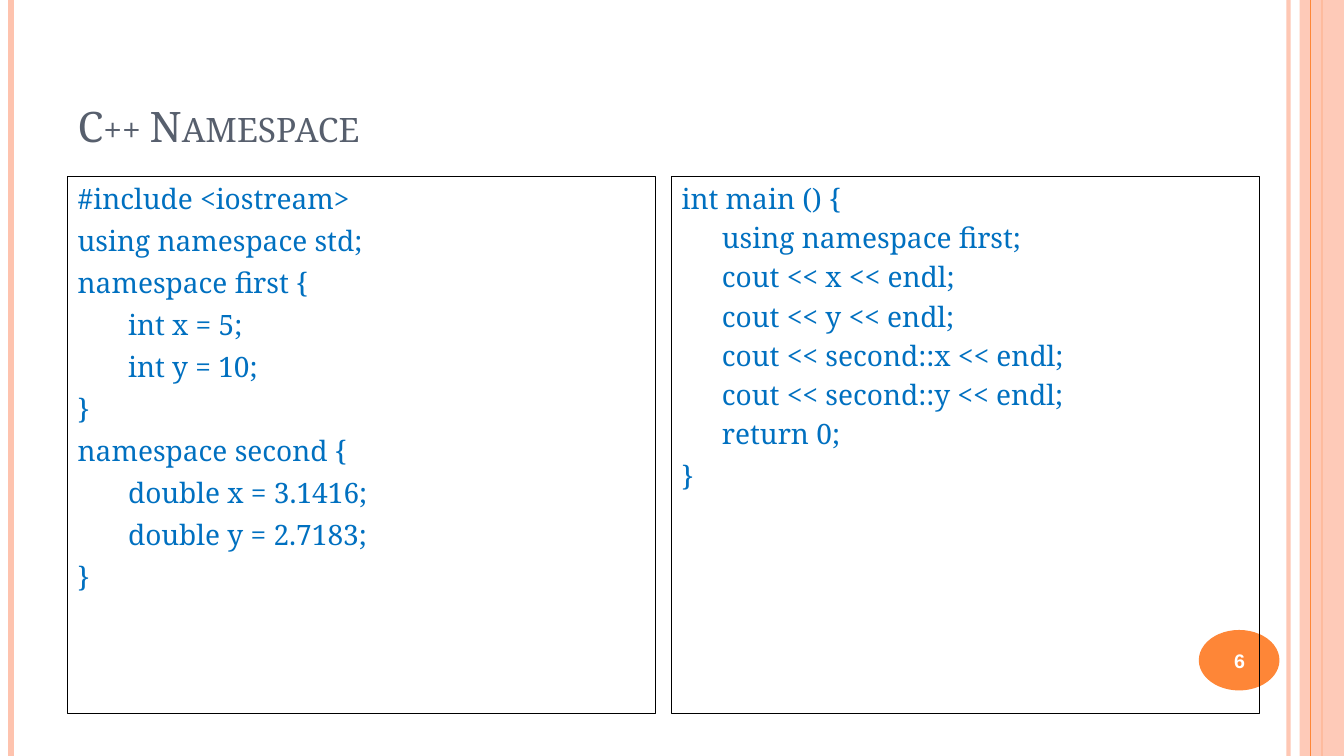
import pptx
import pptx.util
import pptx.dml.color
import pptx.enum.shapes
import pptx.enum.text
import pptx.oxml.ns
import lxml.etree

# Content
HEADING = "C++ Namespace"
PAGE_NUMBER = "6"
DECLARATIONS = [
    "#include <iostream>",
    "using namespace std;",
    "namespace first {",
    "\tint x = 5;",
    "\tint y = 10;",
    "}",
    "namespace second {",
    "\tdouble x = 3.1416;",
    "\tdouble y = 2.7183;",
    "}",
]
MAIN_BODY = [
    "using namespace first;",
    "cout << x << endl;",
    "cout << y << endl;",
    "cout << second::x << endl;",
    "cout << second::y << endl;",
    "return 0;",
]
# Each pane lists (indent level, line of code)
PANES = [
    [(0, line) for line in DECLARATIONS],
    [(0, "int main () {"), *[(1, line) for line in MAIN_BODY], (0, "}")],
]

# Layout, in inches
WIDTH, HEIGHT = 13.33, 7.5
MARGIN, PANE_TOP = 0.67, 1.75
PANE_WIDTH, PANE_HEIGHT, PANE_STEP = 5.83, 5.33, 5.99
INDENT, TAB_STOP = 0.4, 1.0
SPACE_BEFORE = {0: 6, 1: 4}

# Look
SERIF, SANS = "Noto Serif", "Arial"
PEACH, ORANGE, SLATE, BLUE = "FEC3AE", "FE8637", "575F6D", "0070C0"
# x, colour, weight in points, opacity in percent
STRIPES = [
    (12.78, PEACH, 3, 93),
    (0.11, PEACH, 4.5, 100),
    (13.11, ORANGE, 1.5, 100),
    (13.0, ORANGE, 0.75, 100),
]
BAND_LEFT, BAND_OPACITY = 12.89, 87

inch, pt = pptx.util.Inches, pptx.util.Pt
qn = pptx.oxml.ns.qn
ANCHOR = pptx.enum.text.MSO_ANCHOR


def rgb(value):
    return pptx.dml.color.RGBColor.from_string(value)


def set_opacity(element, percent):
    if percent < 100:
        for colour in element.iter(qn("a:srgbClr")):
            lxml.etree.SubElement(colour, qn("a:alpha"), val=str(percent * 1000))


def place(part, left, top, width, height):
    part.left, part.top = inch(left), inch(top)
    part.width, part.height = inch(width), inch(height)


def style(paragraph, face, size, colour, bold=False):
    font = paragraph.font
    font.name, font.size, font.bold = face, pt(size), bold
    font.color.rgb = rgb(colour)


def fill_shape(kind, box, colour):
    part = slide.shapes.add_shape(kind, *map(inch, box))
    part.shadow.inherit = False
    part.fill.solid()
    part.fill.fore_color.rgb = rgb(colour)
    part.line.fill.background()
    return part


def write_code(pane, lines):
    frame = pane.text_frame
    frame.word_wrap = True
    frame.auto_size = pptx.enum.text.MSO_AUTO_SIZE.NONE
    frame.vertical_anchor = ANCHOR.TOP
    for index, (level, line) in enumerate(lines):
        paragraph = frame.add_paragraph() if index else frame.paragraphs[0]
        paragraph.text, paragraph.level = line, level
        paragraph.line_spacing = 1.0
        paragraph.space_before = pt(SPACE_BEFORE[level])
        style(paragraph, SERIF, 20, BLUE)
        # No bullet, a left indent by level and one tab stop
        properties = paragraph._p.get_or_add_pPr()
        properties.set("marL", str(inch(INDENT * level)))
        properties.set("indent", "0")
        no_bullet = lxml.etree.Element(qn("a:buNone"))
        tabs = lxml.etree.Element(qn("a:tabLst"))
        lxml.etree.SubElement(tabs, qn("a:tab"), pos=str(inch(TAB_STOP)), algn="l")
        for setting in (no_bullet, tabs):
            properties.find(qn("a:defRPr")).addprevious(setting)


deck = pptx.Presentation()
deck.slide_width, deck.slide_height = inch(WIDTH), inch(HEIGHT)
slide = deck.slides.add_slide(deck.slide_layouts.get_by_name("Two Content"))
heading, *code_panes = slide.placeholders

# Side stripes, band and page disc, kept behind the text
backdrop = []
for x, colour, weight, opacity in STRIPES:
    stripe = slide.shapes.add_connector(
        pptx.enum.shapes.MSO_CONNECTOR.STRAIGHT, inch(x), 0, inch(x), inch(HEIGHT))
    stripe.line.color.rgb = rgb(colour)
    stripe.line.width = pt(weight)
    set_opacity(stripe._element, opacity)
    lxml.etree.SubElement(stripe._element.spPr, qn("a:effectLst"))
    backdrop.append(stripe)

PRESET = pptx.enum.shapes.MSO_SHAPE
band = fill_shape(PRESET.RECTANGLE, (BAND_LEFT, 0, WIDTH - BAND_LEFT, HEIGHT), PEACH)
set_opacity(band._element.spPr, BAND_OPACITY)
disc = fill_shape(PRESET.OVAL, (11.89, 6.25, 0.8, 0.6), ORANGE)
backdrop.insert(3, band)
backdrop.append(disc)
for part in backdrop:
    heading._element.addprevious(part._element)

# Heading in small capitals
place(heading, MARGIN, 0.3, 11.22, 1.25)
heading.text_frame.text = HEADING
heading.text_frame.vertical_anchor = ANCHOR.BOTTOM
heading_line = heading.text_frame.paragraphs[0]
heading_line.alignment = pptx.enum.text.PP_ALIGN.LEFT
style(heading_line, SERIF, 30, SLATE)
heading_line.runs[0].font._element.set("cap", "small")

# Two panes of code
for column, (pane, lines) in enumerate(zip(code_panes, PANES)):
    place(pane, MARGIN + column * PANE_STEP, PANE_TOP, PANE_WIDTH, PANE_HEIGHT)
    pane.line.color.rgb = rgb("000000")
    pane.line.width = pt(0.75)
    write_code(pane, lines)

# Page number
page = slide.shapes.add_textbox(*map(inch, (11.85, 6.27, 0.89, 0.57))).text_frame
page.word_wrap = True
page.text = PAGE_NUMBER
page.vertical_anchor = ANCHOR.MIDDLE
page.paragraphs[0].alignment = pptx.enum.text.PP_ALIGN.CENTER
style(page.paragraphs[0], SANS, 14, "FFFFFF", bold=True)

deck.save("out.pptx")
